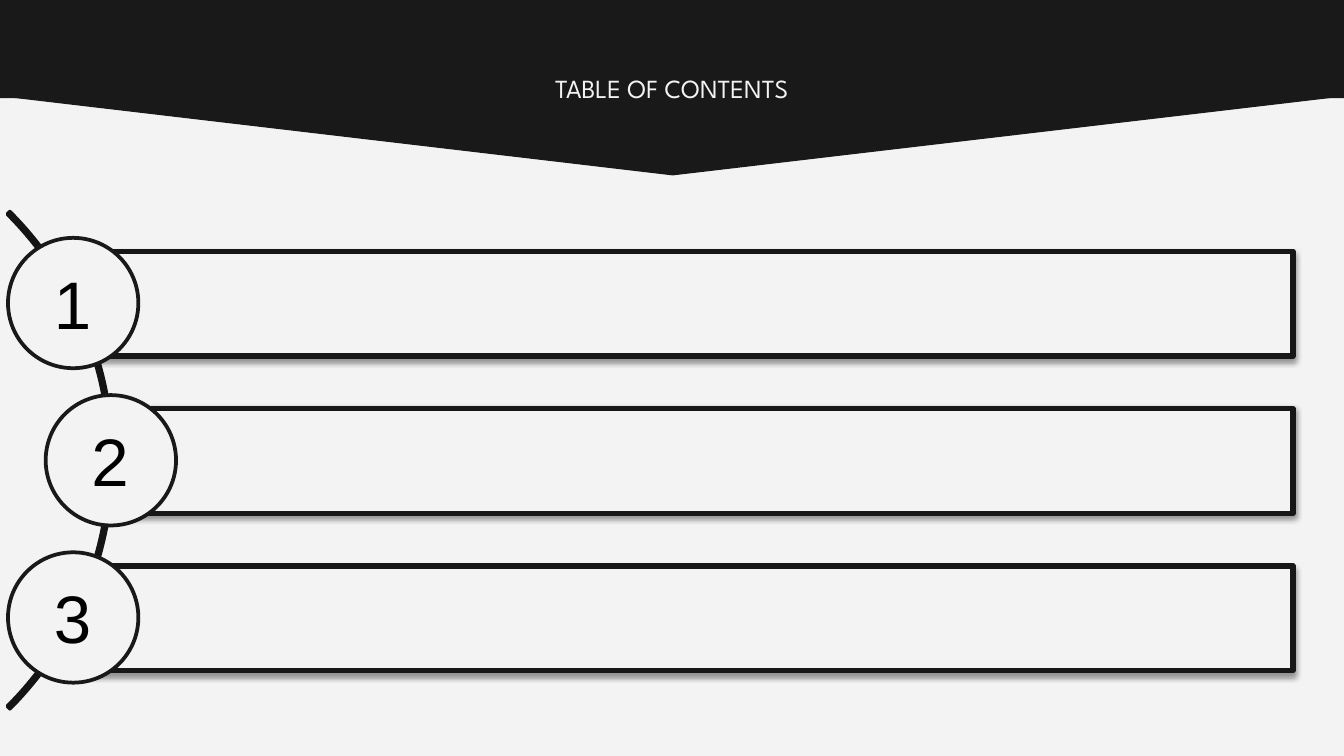
from dataclasses import dataclass

from lxml import etree
from pptx import Presentation
from pptx.dml.color import RGBColor
from pptx.enum import shapes, text
from pptx.oxml.ns import qn
from pptx.util import Inches, Pt


@dataclass(frozen=True)
class Theme:
    paper: str = "F3F3F3"
    banner: str = "191919"
    arc: str = "141414"
    bar_edge: str = "171717"
    black: str = "000000"
    title_font: str = "League Spartan"
    number_font: str = "Arial"
    title_size: int = 14
    number_size: int = 36


class SlideBuilder:
    def __init__(self, page, theme):
        self.page = page
        self.theme = theme
        page.background.fill.solid()
        page.background.fill.fore_color.rgb = RGBColor.from_string(theme.paper)

    def shape(self, kind, left, top, width, height, fill, edge=None, weight=0):
        shape = self.page.shapes.add_shape(
            kind, Inches(left), Inches(top), Inches(width), Inches(height))
        shape.shadow.inherit = False
        shape.fill.solid()
        shape.fill.fore_color.rgb = RGBColor.from_string(fill)
        if edge:
            shape.line.color.rgb = RGBColor.from_string(edge)
            shape.line.width = Pt(weight)
        else:
            shape.line.fill.background()
        return shape

    def drop_shadow(self, shape):
        effects = shape.element.spPr.find(qn("a:effectLst"))
        shadow = etree.SubElement(
            effects, qn("a:outerShdw"), blurRad=str(Pt(3.1)),
            dist=str(Pt(1.6)), dir="5400000", rotWithShape="0")
        color = etree.SubElement(shadow, qn("a:srgbClr"), val=self.theme.black)
        etree.SubElement(color, qn("a:alpha"), val="38000")

    def banner(self):
        color = self.theme.banner
        point = self.shape(shapes.MSO_SHAPE.ISOSCELES_TRIANGLE,
                           -0.01, 0.71, 10.03, 0.59, color, color, 0.75)
        point.rotation = 180
        self.shape(shapes.MSO_SHAPE.RECTANGLE, -0.01, -0.21, 10.03, 0.94, color)

    def arc(self):
        arc = self.shape(shapes.MSO_SHAPE.BLOCK_ARC, -4.39, 0.81, 5.23, 5.23,
                         self.theme.arc, self.theme.arc, 2)
        for index, value in enumerate((189, 27, 0.005)):
            arc.adjustments[index] = value

    def bar(self, left, top, right):
        bar = self.shape(shapes.MSO_SHAPE.RECTANGLE, left, top, right - left, 0.78,
                         self.theme.paper, self.theme.bar_edge, 3)
        self.drop_shadow(bar)

    def circle(self, left, top, diameter):
        self.shape(shapes.MSO_SHAPE.OVAL, left, top, diameter, diameter,
                   self.theme.paper, self.theme.banner, 2)

    def label(self, words, left, top, width, height, font, size, color, inset=0.05):
        box = self.page.shapes.add_textbox(
            Inches(left), Inches(top), Inches(width), Inches(height))
        frame = box.text_frame
        frame.word_wrap = True
        frame.vertical_anchor = text.MSO_ANCHOR.TOP
        frame.margin_top = frame.margin_bottom = Inches(inset)
        frame.margin_left = frame.margin_right = Inches(0.1)
        para = frame.paragraphs[0]
        para.alignment = text.PP_ALIGN.CENTER
        span = para.add_run()
        span.text = words
        span.font.name = font
        span.font.size = Pt(size)
        span.font.color.rgb = RGBColor.from_string(color)


def main():
    deck = Presentation()
    deck.slide_width = Inches(10)
    deck.slide_height = Inches(10 * 9 / 16)
    theme = Theme()
    builder = SlideBuilder(deck.slides.add_slide(deck.slide_layouts[6]), theme)

    builder.banner()
    builder.label("TABLE OF CONTENTS", 3.37, 0.44, 3.26, 0.75,
                  theme.title_font, theme.title_size, theme.paper, inset=0.1)
    builder.arc()

    diameter, first_top, pitch, bar_right = 0.97, 1.77, 1.17, 9.62
    lefts = (0.06, 0.34, 0.06)
    for index, left in enumerate(lefts):
        top = first_top + index * pitch
        builder.bar(left + diameter / 2, top + 0.1, bar_right)
        builder.circle(left, top, diameter)
    for index, left in enumerate(lefts):
        builder.label(str(index + 1), left + 0.1, first_top + index * pitch + 0.13,
                      0.76, 0.71, theme.number_font, theme.number_size, theme.black)

    deck.save("out.pptx")


if __name__ == "__main__":
    main()
